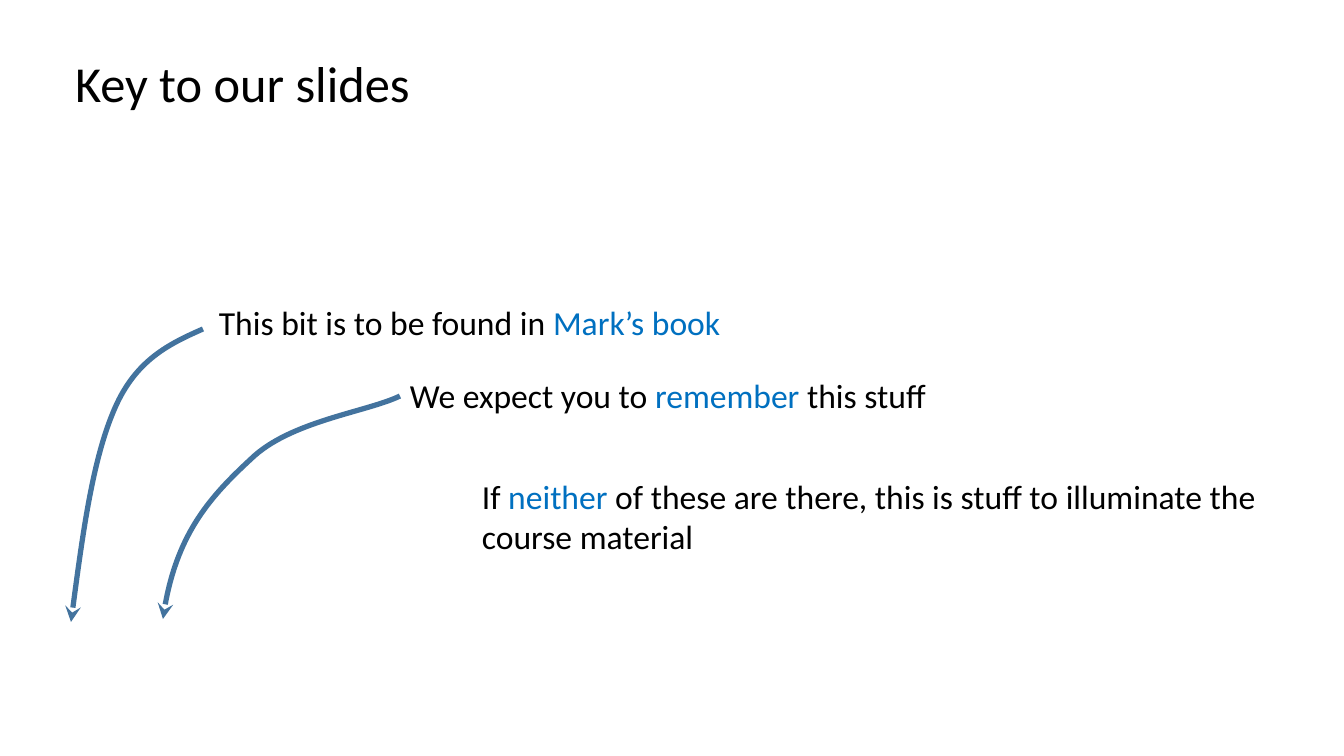
import dataclasses

import pptx
import pptx.dml.color
import pptx.enum.text
import pptx.oxml.ns
import pptx.util

PX = 914400 / 100.8


@dataclasses.dataclass(frozen=True)
class Theme:
    font: str = "Calibri"
    text: str = "000000"
    accent: str = "0070C0"
    arrow: str = "43739E"
    title_size: int = 36
    note_size: int = 24
    arrow_width: float = 3.75


THEME = Theme()


def px(n):
    return pptx.util.Emu(round(n * PX))


def rgb(value):
    return pptx.dml.color.RGBColor.from_string(value)


def add_run(p, text, size, color):
    r = p.add_run()
    r.text = text
    r.font.name = THEME.font
    r.font.size = pptx.util.Pt(size)
    r.font.color.rgb = rgb(color)


def place_title(slide, box, text):
    sp = slide.shapes.title
    sp.left, sp.top, sp.width, sp.height = map(px, box)
    tf = sp.text_frame
    tf.vertical_anchor = pptx.enum.text.MSO_ANCHOR.MIDDLE
    p = tf.paragraphs[0]
    p.alignment = pptx.enum.text.PP_ALIGN.LEFT
    p.line_spacing = 0.9
    add_run(p, text, THEME.title_size, THEME.text)


def add_note(slide, box, before, keyword, after="", wrap=False):
    tf = slide.shapes.add_textbox(*map(px, box)).text_frame
    tf.word_wrap = wrap
    tf.auto_size = pptx.enum.text.MSO_AUTO_SIZE.SHAPE_TO_FIT_TEXT
    p = tf.paragraphs[0]
    add_run(p, before, THEME.note_size, THEME.text)
    add_run(p, keyword, THEME.note_size, THEME.accent)
    if after:
        add_run(p, after, THEME.note_size, THEME.text)


def add_curved_arrow(slide, origin, points):
    builder = slide.shapes.build_freeform(*points[0], scale=PX)
    builder.add_line_segments(points[1:], close=False)
    sp = builder.convert_to_shape(*map(px, origin))
    sp.shadow.inherit = False
    sp.fill.background()
    sp.line.color.rgb = rgb(THEME.arrow)
    sp.line.width = pptx.util.Pt(THEME.arrow_width)

    qn = pptx.oxml.ns.qn
    outline = sp._element.find(".//" + qn("a:path"))
    segments = outline.findall(qn("a:lnTo"))
    for i in range(0, len(segments), 3):
        curve = outline.makeelement(qn("a:cubicBezTo"), {})
        outline.append(curve)
        for segment in segments[i:i + 3]:
            curve.append(segment[0])
            outline.remove(segment)
    ln = sp._element.spPr.find(qn("a:ln"))
    ln.append(ln.makeelement(qn("a:tailEnd"), {"type": "stealth"}))


def build_key_slide(prs):
    slide = prs.slides.add_slide(prs.slide_layouts[5])
    place_title(slide, (65, 30, 1206, 113), "Key to our slides")
    add_note(slide, (209, 297, 526, 50), "This bit is to be found in ", "Mark’s book")
    add_note(slide, (400, 370, 541, 50), "We expect you to ", "remember", " this stuff")
    add_note(slide, (472, 471, 797, 92), "If ", "neither",
             " of these are there, this is stuff to illuminate the course material", wrap=True)
    add_curved_arrow(slide, (71, 329), [
        (132, 0), (98, 15), (65, 31), (44, 79), (22, 129), (11, 210), (0, 293)])
    add_curved_arrow(slide, (163, 396), [
        (237, 0), (204, 16), (127, 25), (88, 63), (48, 100), (11, 141), (0, 223)])


def main():
    prs = pptx.Presentation()
    prs.slide_width, prs.slide_height = px(1344), px(756)
    build_key_slide(prs)
    prs.save("out.pptx")


if __name__ == "__main__":
    main()
